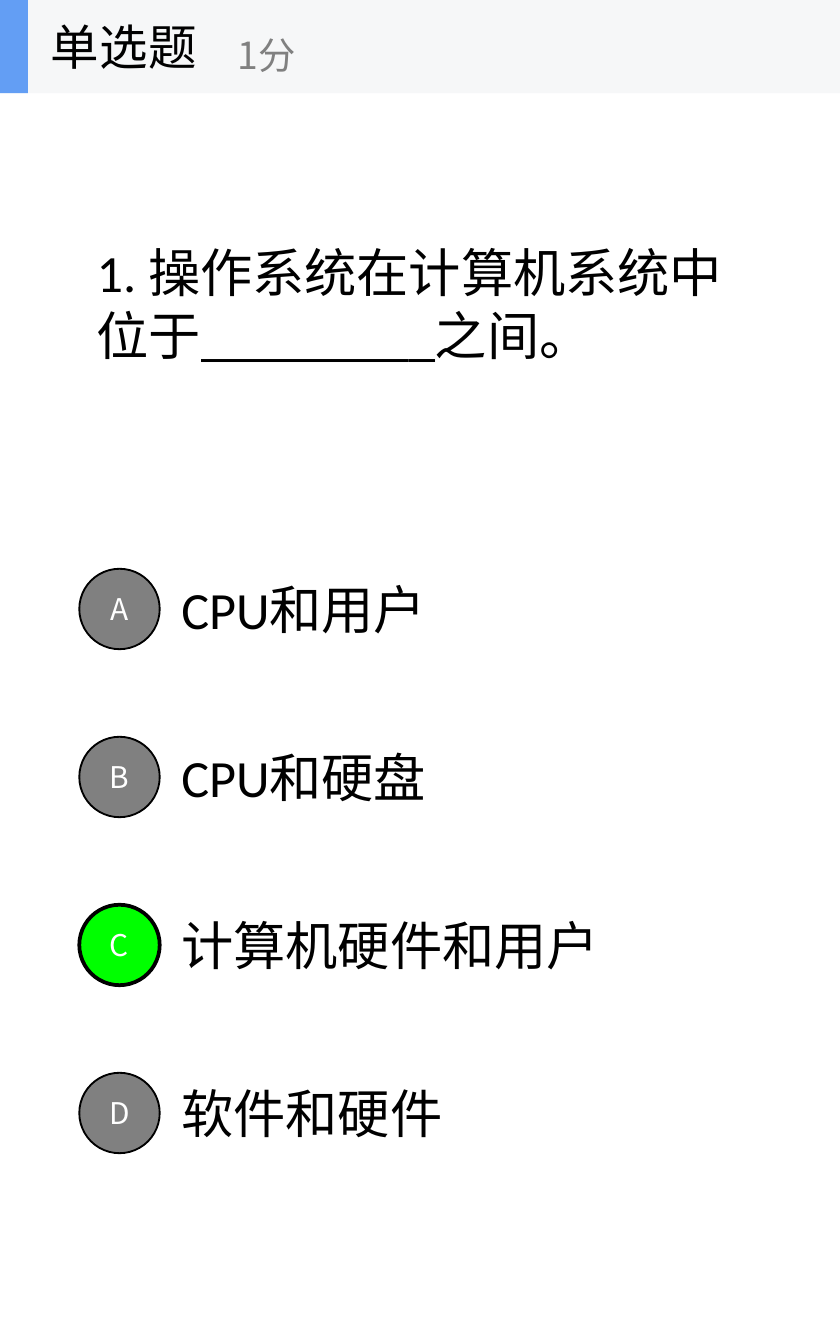
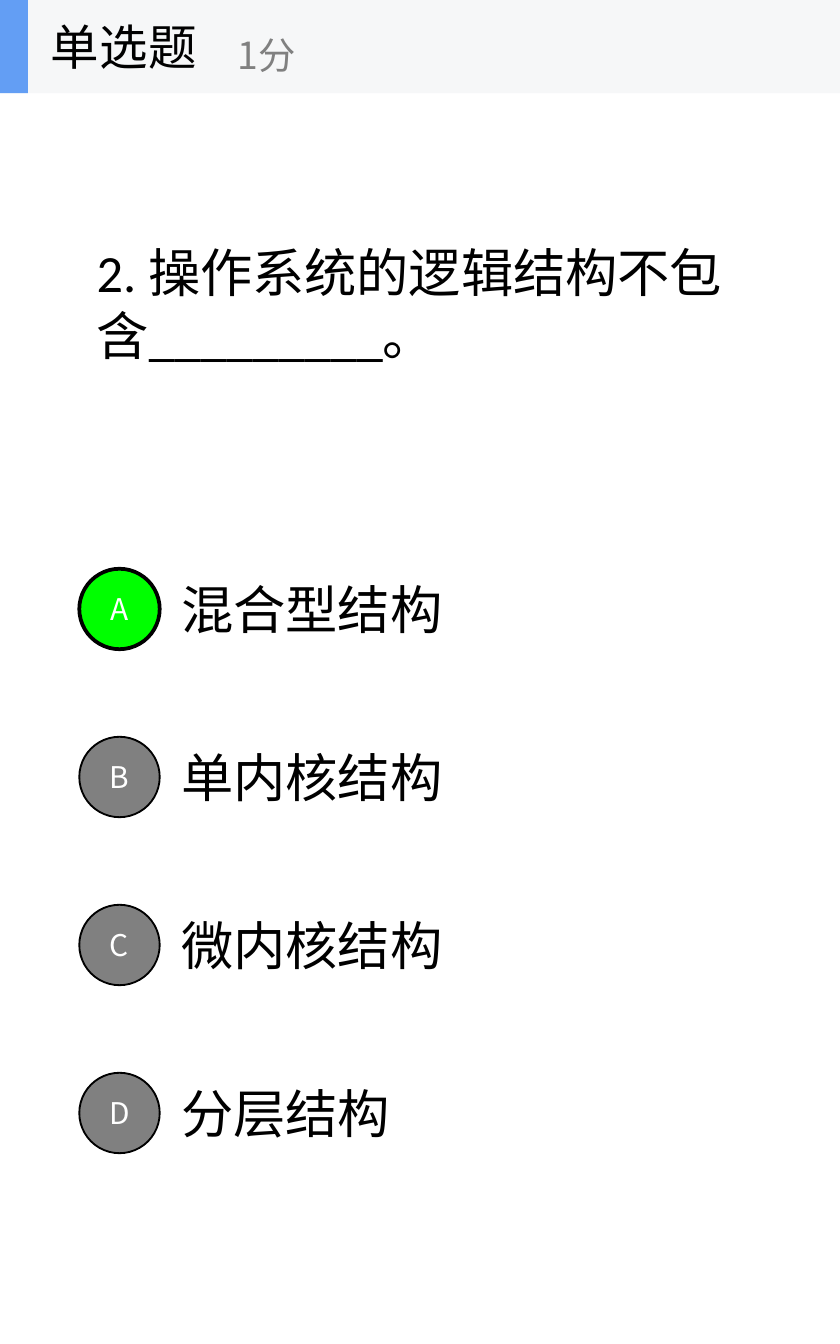
from lxml import etree
from pptx import Presentation
from pptx.dml.color import RGBColor
from pptx.enum import shapes, text
from pptx.oxml.ns import qn
from pptx.util import Cm, Pt

COLORS = {
    "text": "000000",
    "muted": "808080",
    "letter": "FFFFFF",
    "correct": "00FF00",
    "band": "F6F7F8",
    "accent": "639EF4",
}
LATIN, CJK = "Calibri", "Noto Sans CJK SC"
PAGE_WIDTH, PAGE_HEIGHT = 15.88, 25.4
BAND_HEIGHT = 1.76
FIRST_OPTION, OPTION_STEP, OPTION_HEIGHT = 10.32, 3.175, 2.38
BADGE = 1.52

QUESTIONS = [
    ("1. 操作系统在计算机系统中位于_________之间。", "C",
     ["CPU和用户", "CPU和硬盘", "计算机硬件和用户", "软件和硬件"]),
    ("2. 操作系统的逻辑结构不包含_________。", "A",
     ["混合型结构", "单内核结构", "微内核结构", "分层结构"]),
]


def write(box, words, size, font=CJK, color="text", align=text.PP_ALIGN.LEFT):
    """Put one vertically centred paragraph into a shape."""
    frame = box.text_frame
    frame.text = words
    frame.word_wrap = True
    frame.auto_size = text.MSO_AUTO_SIZE.NONE
    frame.vertical_anchor = text.MSO_ANCHOR.MIDDLE
    para = frame.paragraphs[0]
    para.alignment = align
    para.font.size = Pt(size)
    para.font.name = font
    para.font.color.rgb = RGBColor.from_string(COLORS[color])
    defaults = para._p.pPr.find(qn("a:defRPr"))
    etree.SubElement(defaults, qn("a:ea"), typeface=CJK)


def add_filled(page, kind, left, top, width, height, color):
    shape = page.shapes.add_shape(kind, Cm(left), Cm(top), Cm(width), Cm(height))
    shape.shadow.inherit = False
    shape.fill.solid()
    shape.fill.fore_color.rgb = RGBColor.from_string(COLORS[color])
    shape.line.fill.background()
    return shape


deck = Presentation()
deck.slide_width, deck.slide_height = Cm(PAGE_WIDTH), Cm(PAGE_HEIGHT)
title_only = deck.slide_layouts.get_by_name("Title Only")

for question, answer, options in QUESTIONS:
    page = deck.slides.add_slide(title_only)

    # Header: band, accent, title and score
    for width, color in ((PAGE_WIDTH, "band"), (0.53, "accent")):
        add_filled(page, shapes.MSO_SHAPE.RECTANGLE, 0, 0, width, BAND_HEIGHT, color)
    title = page.shapes.title
    title.left, title.top = Cm(0.71), Cm(0)
    title.width, title.height = Cm(5.28), Cm(BAND_HEIGHT)
    write(title, "单选题", 26)
    page.shapes.element.append(title.element)  # bring the title in front of the band
    score = page.shapes.add_textbox(Cm(4.24), Cm(0.32), Cm(6.35), Cm(1.43))
    write(score, "1分", 20, color="muted")

    stem = page.shapes.add_textbox(Cm(1.58), Cm(1.76), Cm(12.7), Cm(7.93))
    write(stem, question, 28, LATIN)

    # Options, each with its letter badge
    for row, (letter, option) in enumerate(zip("ABCD", options)):
        top = FIRST_OPTION + row * OPTION_STEP
        label = page.shapes.add_textbox(Cm(3.18), Cm(top), Cm(11.12), Cm(OPTION_HEIGHT))
        write(label, option, 28, LATIN)

        correct = letter == answer
        badge = add_filled(page, shapes.MSO_SHAPE.OVAL, 1.5, top + (OPTION_HEIGHT - BADGE) / 2,
                           BADGE, BADGE, "correct" if correct else "muted")
        badge.line.color.rgb = RGBColor.from_string(COLORS["text"])
        badge.line.width = Pt(2 if correct else 1)
        write(badge, letter, 16, color="letter", align=text.PP_ALIGN.CENTER)

deck.save("out.pptx")
